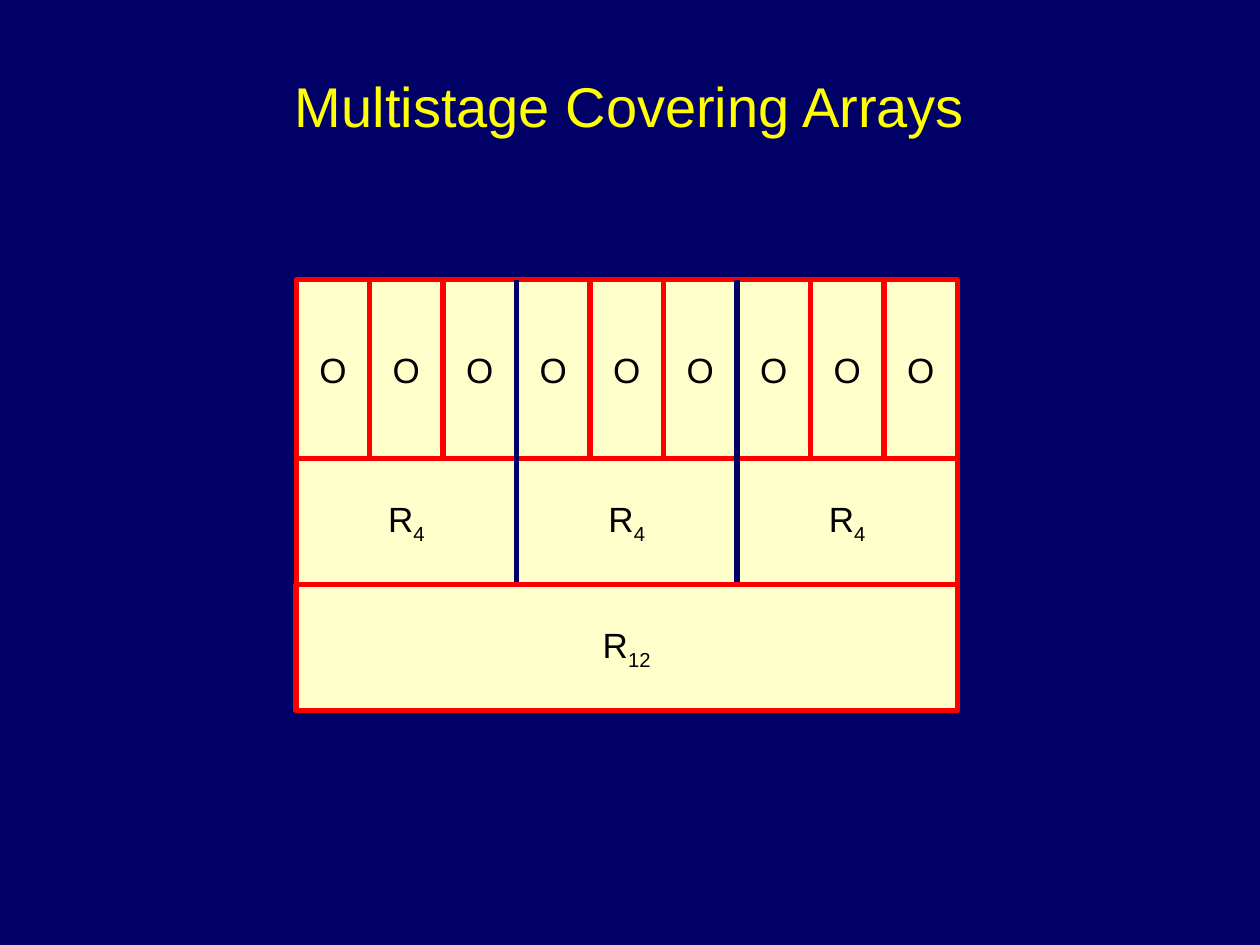
from pptx import Presentation
from pptx.dml.color import RGBColor
from pptx.enum.shapes import MSO_CONNECTOR, MSO_SHAPE
from pptx.enum.text import MSO_ANCHOR, PP_ALIGN
from pptx.oxml.ns import qn
from pptx.util import Cm, Pt
from lxml.etree import SubElement

TITLE = "Multistage Covering Arrays"
ROWS = [("O", "", 9, 3.61), ("R", "4", 3, 2.54), ("R", "12", 1, 2.54)]
LEFT, TOP, WIDTH = 5.97, 5.64, 13.33
NAVY, RED, CREAM = "000066", "FF0000", "FFFFCC"
HEAD = {"name": "Arial", "size": Pt(32)}
BODY = {"name": "Arial", "size": Pt(20)}


def tint(code):
    return RGBColor.from_string(code)


def write(shape, parts, look, color, wrap):
    frame = shape.text_frame
    frame.word_wrap = wrap
    frame.vertical_anchor = MSO_ANCHOR.MIDDLE
    para = frame.paragraphs[0]
    para.alignment = PP_ALIGN.CENTER
    for level, text in enumerate(parts):
        if text:
            run = para.add_run()
            run.text = text
            for key, value in look.items():
                setattr(run.font, key, value)
            run.font.color.rgb = tint(color)
            if level:
                run._r.get_or_add_rPr().set("baseline", "-25000")


def edge(line, color):
    line.color.rgb = tint(color)
    line.width = Pt(3)


def add_row(shapes, top, base, sub, count, high):
    wide = WIDTH / count
    for col in range(count):
        box = shapes.add_shape(MSO_SHAPE.RECTANGLE, Cm(LEFT + col * wide),
                               Cm(top), Cm(wide), Cm(high))
        box.shadow.inherit = False
        box.fill.solid()
        box.fill.fore_color.rgb = tint(CREAM)
        edge(box.line, RED)
        write(box, (base, sub), BODY, "000000", False)


def add_split(shapes, left, top, end):
    line = shapes.add_connector(MSO_CONNECTOR.STRAIGHT, Cm(left), Cm(top),
                                Cm(left), Cm(end))
    edge(line.line, NAVY)
    SubElement(line._element.spPr, qn("a:effectLst"))


def main():
    """Build the slide of nested covering arrays."""
    deck = Presentation()
    deck.slide_width, deck.slide_height = Cm(25.4), Cm(19.05)
    slide = deck.slides.add_slide(deck.slide_layouts[6])
    slide.background.fill.solid()
    slide.background.fill.fore_color.rgb = tint(NAVY)
    shapes = slide.shapes
    title = shapes.add_textbox(Cm(1.9), Cm(0.53), Cm(21.6), Cm(3.18))
    write(title, [TITLE], HEAD, "FFFF00", True)

    top = TOP
    for base, sub, count, high in ROWS:
        if count == 1:
            for part in (1, 2):
                add_split(shapes, LEFT + part * WIDTH / 3, TOP, top)
        add_row(shapes, top, base, sub, count, high)
        top += high
    deck.save("out.pptx")


if __name__ == "__main__":
    main()
